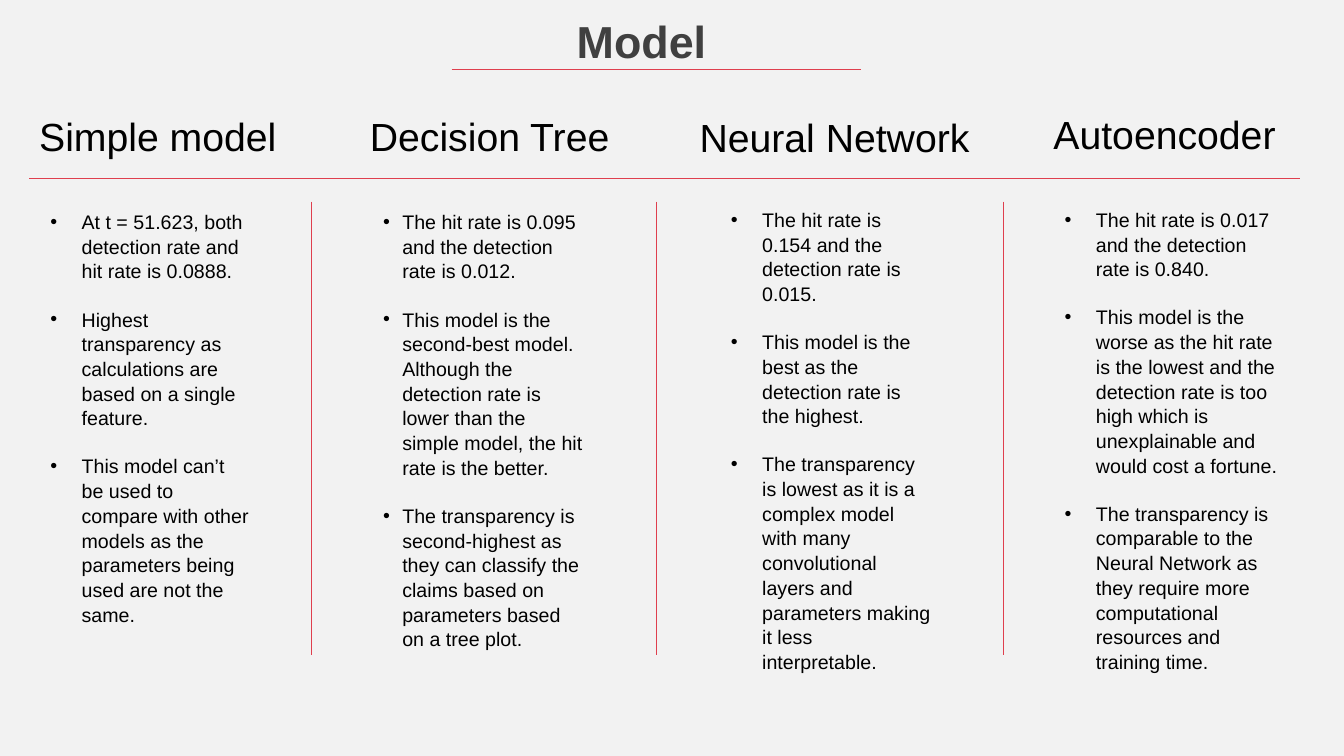
import pptx
import pptx.dml.color
import pptx.enum.shapes
import pptx.enum.text
import pptx.oxml.xmlchemy
import pptx.util

Inches = pptx.util.Inches
Pt = pptx.util.Pt

COLORS = {"background": "F2F2F2", "title": "404040", "text": "000000", "rule": "DF3F4E"}
FONT = "Arial"
RULE_LEFT, RULE_RIGHT, RULE_TOP = 0.29, 12.89, 1.77
DIVIDERS = (3.09, 6.51, 9.95)
DIVIDER_TOP, DIVIDER_BOTTOM = 2, 6.5

MODELS = [
    {
        "name": "Simple model",
        "heading_box": (0.29, 1.07, 2.59, 0.57),
        "list_box": (0.4, 2.02, 2.19, 4.11),
        "indent": 0.31,
        "points": [
            "At t = 51.623, both detection rate and hit rate is 0.0888.",
            "Highest transparency as calculations are based on a single feature.",
            "This model can’t be used to compare with other models as the parameters "
            "being used are not the same.",
        ],
    },
    {
        "name": "Decision Tree",
        "heading_box": (3.57, 1.07, 2.59, 0.57),
        "list_box": (3.7, 2.02, 2.19, 4.75),
        "indent": 0.19,
        "points": [
            "The hit rate is 0.095 and the detection rate is 0.012.",
            "This model is the second-best model. Although the detection rate is lower "
            "than the simple model, the hit rate is the better.",
            "The transparency is second-highest as they can classify the claims based "
            "on parameters based on a tree plot.",
        ],
    },
    {
        "name": "Neural Network",
        "heading_box": (6.84, 1.08, 3.04, 0.57),
        "list_box": (7.15, 2, 2.19, 4.58),
        "indent": 0.31,
        "points": [
            "The hit rate is 0.154 and the detection rate is 0.015.",
            "This model is the best as the detection rate is the highest.",
            "The transparency is lowest as it is a complex model with many convolutional "
            "layers and parameters making it less interpretable.",
        ],
    },
    {
        "name": "Autoencoder",
        "heading_box": (10.35, 1.04, 2.55, 0.88),
        "list_box": (10.46, 2, 2.33, 4.85),
        "indent": 0.31,
        "points": [
            "The hit rate is 0.017 and the detection rate is 0.840.",
            "This model is the worse as the hit rate is the lowest and the detection rate "
            "is too high which is unexplainable and would cost a fortune.",
            "The transparency is comparable to the Neural Network as they require more "
            "computational resources and training time.",
        ],
    },
]


def color(name):
    return pptx.dml.color.RGBColor.from_string(COLORS[name])


def place(shape, box):
    shape.left, shape.top, shape.width, shape.height = map(Inches, box)


def prepare_frame(shape, wrap=True):
    frame = shape.text_frame
    frame.word_wrap = wrap
    frame.auto_size = pptx.enum.text.MSO_AUTO_SIZE.NONE
    frame.vertical_anchor = pptx.enum.text.MSO_ANCHOR.TOP
    return frame


def add_run(paragraph, text, size, color_name="text", bold=False):
    paragraph.alignment = pptx.enum.text.PP_ALIGN.LEFT
    run = paragraph.add_run()
    run.text = text
    run.font.name = FONT
    run.font.size = Pt(size)
    run.font.bold = bold
    run.font.color.rgb = color(color_name)


def set_bullet(paragraph, indent):
    properties = paragraph._p.get_or_add_pPr()
    properties.set("marL", str(Inches(indent)))
    properties.set("indent", str(-Inches(indent)))
    for tag, name, value in (("a:buFont", "typeface", FONT), ("a:buChar", "char", "•")):
        element = pptx.oxml.xmlchemy.OxmlElement(tag)
        element.set(name, value)
        properties.append(element)


def fill_title(shape):
    place(shape, (5.62, 0.09, 1.5, 0.94))
    frame = prepare_frame(shape, wrap=False)
    add_run(frame.paragraphs[0], "Model", 32, "title", bold=True)


def add_heading(slide, model):
    heading = slide.shapes.add_textbox(*map(Inches, model["heading_box"]))
    frame = prepare_frame(heading)
    add_run(frame.paragraphs[0], model["name"], 28)


def fill_list(shape, model):
    place(shape, model["list_box"])
    frame = prepare_frame(shape)
    for index, point in enumerate(model["points"]):
        paragraph = frame.paragraphs[0] if index == 0 else frame.add_paragraph()
        paragraph.line_spacing = 1.05
        paragraph.space_before = Pt(16.8 if index else 0)
        paragraph.space_after = Pt(0)
        set_bullet(paragraph, model["indent"])
        add_run(paragraph, point, 14)


def add_line(slide, *ends):
    line = slide.shapes.add_connector(
        pptx.enum.shapes.MSO_CONNECTOR.STRAIGHT, *map(Inches, ends)
    )
    line.line.color.rgb = color("rule")
    line.line.width = Pt(0.5)
    line._element.spPr.append(pptx.oxml.xmlchemy.OxmlElement("a:effectLst"))


def main():
    presentation = pptx.Presentation()
    presentation.slide_width = Inches(13.33)
    presentation.slide_height = Inches(7.5)
    comparison_layout = presentation.slide_layouts.get_by_name("Comparison")
    slide = presentation.slides.add_slide(comparison_layout)
    slide.background.fill.solid()
    slide.background.fill.fore_color.rgb = color("background")

    fill_title(slide.shapes.title)
    for index, model in enumerate(MODELS, start=1):
        add_heading(slide, model)
        fill_list(slide.placeholders[index], model)

    add_line(slide, 4.48, 0.69, 8.54, 0.69)
    add_line(slide, RULE_LEFT, RULE_TOP, RULE_RIGHT, RULE_TOP)
    for left in DIVIDERS:
        add_line(slide, left, DIVIDER_TOP, left, DIVIDER_BOTTOM)

    presentation.save("out.pptx")


if __name__ == "__main__":
    main()
